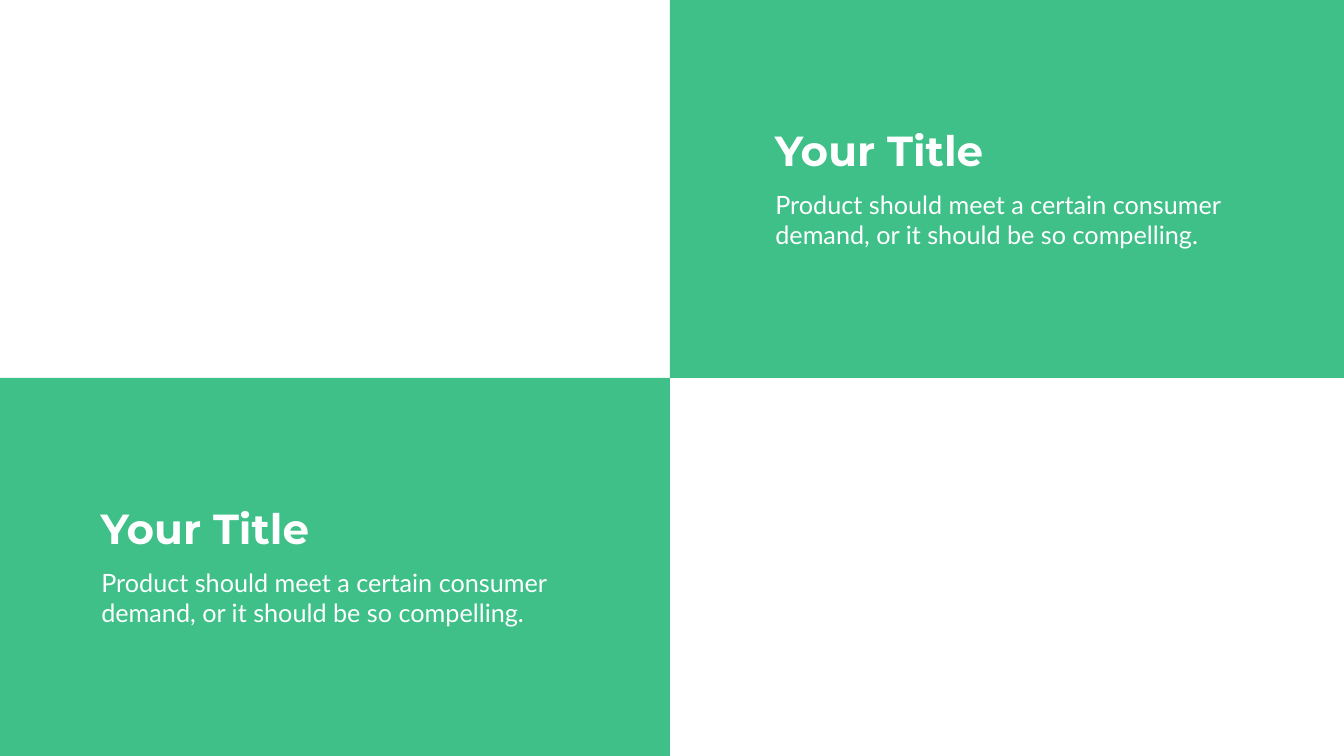
from pptx import Presentation
from pptx.dml.color import RGBColor
from pptx.enum.shapes import MSO_SHAPE as Shape
from pptx.enum.text import MSO_ANCHOR as Anchor, MSO_AUTO_SIZE as Fit, PP_ALIGN as Align
from pptx.util import Inches, Pt

GREEN = RGBColor(0x3E, 0xC0, 0x88)
WHITE = RGBColor(0xFF, 0xFF, 0xFF)
WIDE, HIGH = 26.66, 15
CELL_W, CELL_H = 13.37, HIGH / 2

# column, row, title, text
PANELS = [
    (1, 0, "Your Title",
     "Product should meet a certain consumer demand, or it should be so compelling."),
    (0, 1, "Your Title",
     "Product should meet a certain consumer demand, or it should be so compelling."),
]


def place(shape, x, y, w, h):
    shape.left, shape.top = Inches(x), Inches(y)
    shape.width, shape.height = Inches(w), Inches(h)


def write(box, text, font, size, bold=False, pad=(0.1, 0.05), pitch=None):
    """Fill a box with one white run; pad is the side and top inset."""
    frame = box.text_frame
    frame.word_wrap = True
    frame.auto_size = Fit.NONE
    frame.vertical_anchor = Anchor.TOP
    frame.margin_left = frame.margin_right = Inches(pad[0])
    frame.margin_top = frame.margin_bottom = Inches(pad[1])
    para = frame.paragraphs[0]
    para.alignment = Align.LEFT
    para.space_before = Pt(0)
    if pitch:
        para.line_spacing = Pt(pitch)
    run = para.add_run()
    run.text = text
    run.font.name, run.font.size = font, Pt(size)
    run.font.bold = bold
    run.font.color.rgb = WHITE


deck = Presentation()
deck.slide_width, deck.slide_height = Inches(WIDE), Inches(HIGH)
slide = deck.slides.add_slide(deck.slide_layouts[5])
shapes = slide.shapes
head = shapes.title

for col, row, title, text in PANELS:
    x, y = WIDE - (2 - col) * CELL_W, row * CELL_H
    panel = shapes.add_shape(Shape.RECTANGLE, 0, 0, 0, 0)
    place(panel, x, y, CELL_W, CELL_H)
    panel.shadow.inherit = False
    panel.fill.solid()
    panel.fill.fore_color.rgb = GREEN
    panel.line.fill.background()

    # The first panel holds the slide title, raised above its fill
    if head is not None:
        box, head = head, None
        shapes._spTree.append(box._element)
    else:
        box = shapes.add_textbox(0, 0, 0, 0)
    place(box, x + 1.98, y + 2.42, 5.28, 1.11)
    write(box, title, "Montserrat", 60, bold=True)

    body = shapes.add_textbox(0, 0, 0, 0)
    place(body, x + 1.85, y + 3.63, 9.66, 1.45)
    write(body, text, "Lato", 36, pad=(0.24, 0.12), pitch=43)

deck.save("out.pptx")
